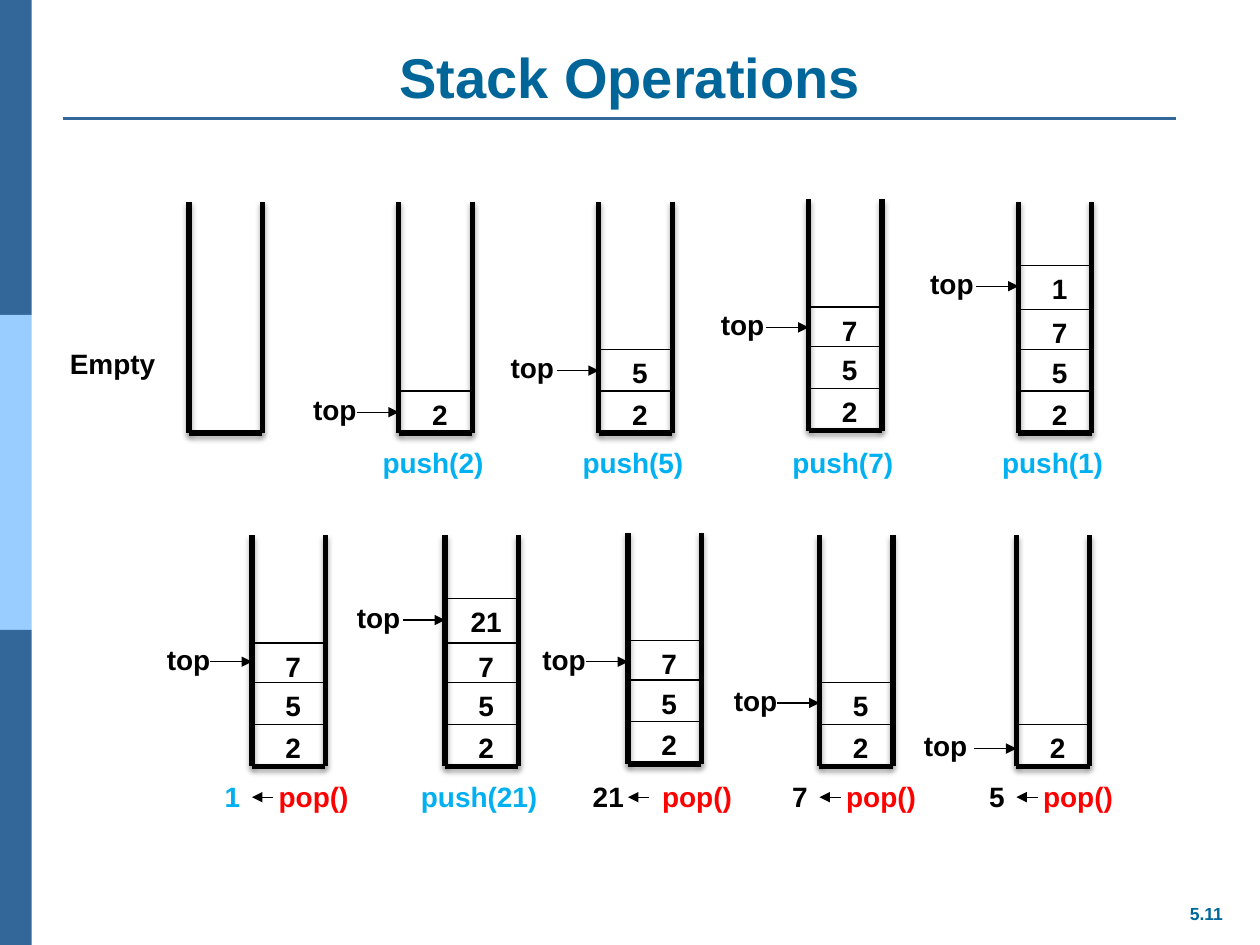
from pptx import Presentation
from pptx import util as u
from pptx.dml.color import RGBColor
from pptx.enum import shapes, text
from pptx.oxml import parse_xml
from pptx.oxml.ns import nsdecls, qn

BLACK = RGBColor(0x00, 0x00, 0x00)
CYAN = RGBColor(0x00, 0xB0, 0xF0)
RED = RGBColor(0xFF, 0x00, 0x00)
TEAL = RGBColor(0x00, 0x66, 0x99)
STEEL = RGBColor(0x33, 0x66, 0x99)
SKY = RGBColor(0x99, 0xCC, 0xFF)

SHADOW = (
    '<a:outerShdw blurRad="39370" dist="22860" dir="5400000" rotWithShape="0">'
    '<a:srgbClr val="000000"><a:alpha val="35000"/></a:srgbClr></a:outerShdw>'
)

prs = Presentation()
prs.slide_width, prs.slide_height = u.Cm(25.4), u.Cm(19.05)
slide = prs.slides.add_slide(prs.slide_layouts[5])


def add_line(x1, y1, x2, y2, width=0.75, color=BLACK, shadow="", arrow=False):
    line = slide.shapes.add_connector(
        shapes.MSO_CONNECTOR.STRAIGHT, u.Cm(x1), u.Cm(y1), u.Cm(x2), u.Cm(y2))
    line.line.width = u.Pt(width)
    line.line.color.rgb = color
    props = line.element.spPr
    if arrow:
        props.find(qn("a:ln")).append(
            parse_xml(f'<a:tailEnd {nsdecls("a")} type="triangle"/>'))
    props.append(parse_xml(f'<a:effectLst {nsdecls("a")}>{shadow}</a:effectLst>'))


def add_label(left, top, width, runs, size=16, tab=None):
    box = slide.shapes.add_textbox(u.Cm(left), u.Cm(top), u.Cm(width), u.Cm(0.94))
    box.text_frame.word_wrap = tab is not None
    para = box.text_frame.paragraphs[0]
    para.alignment = text.PP_ALIGN.CENTER
    if tab is not None:
        para.alignment = text.PP_ALIGN.LEFT
        para._p.get_or_add_pPr().append(parse_xml(
            f'<a:tabLst {nsdecls("a")}><a:tab pos="{u.Cm(tab)}" algn="l"/></a:tabLst>'))
    for words, color in runs:
        run = para.add_run()
        run.text = words
        run.font.name = "Arial"
        run.font.size = u.Pt(size)
        run.font.bold = True
        run.font.color.rgb = color


# Side band, rule and page number
for i, color in enumerate([STEEL, SKY, STEEL]):
    band = slide.shapes.add_shape(
        shapes.MSO_SHAPE.RECTANGLE, 0, u.Cm(6.35 * i), u.Cm(0.64), u.Cm(6.35))
    band.shadow.inherit = False
    band.fill.solid()
    band.fill.fore_color.rgb = color
    band.line.fill.background()
add_line(1.27, 2.39, 23.7, 2.39, 1.5, STEEL)
add_label(23.7, 18.08, 1.24, [("5.11", TEAL)], size=10)

# Title
title = slide.shapes.title
title.left, title.top, title.width, title.height = (
    u.Cm(1.27), u.Cm(1.02), u.Cm(22.86), u.Cm(1.32))
title.text_frame.vertical_anchor = text.MSO_ANCHOR.BOTTOM
heading = title.text_frame.paragraphs[0]
heading.alignment = text.PP_ALIGN.CENTER
heading_run = heading.add_run()
heading_run.text = "Stack Operations"
heading_run.font.name = "Arial"
heading_run.font.size = u.Pt(32)
heading_run.font.bold = True
heading_run.font.color.rgb = TEAL

# Stacks: left, bottom, items from the bottom up, left of "top", pointer height
STACK_WIDTH, STACK_HEIGHT = 1.48, 4.66
LEVELS = [0.85, 1.69, 2.49, 3.38]
stacks = [
    (3.81, 8.73, [], None, None),
    (8.04, 8.73, [2], 6.05, 8.31),
    (12.07, 8.73, [2, 5], 10.03, 7.47),
    (16.3, 8.68, [2, 5, 7], 14.27, 6.6),
    (20.53, 8.73, [2, 5, 7, 1], 18.49, 5.77),
    (5.08, 15.45, [2, 5, 7], 3.1, 13.34),
    (8.97, 15.45, [2, 5, 7, 21], 6.93, 12.5),
    (12.66, 15.4, [2, 5, 7], 10.67, 13.34),
    (16.52, 15.45, [2, 5], 14.53, 14.17),
    (20.49, 15.45, [2], 18.36, 15.09),
]
for left, bottom, items, top_left, pointer in stacks:
    right, rim = left + STACK_WIDTH, bottom - STACK_HEIGHT
    for wall in [(left, rim, left, bottom), (right, rim, right, bottom),
                 (left, bottom, right, bottom)]:
        add_line(*wall, width=3, shadow=SHADOW)
    for item, level in zip(items, LEVELS):
        add_line(left, bottom - level, right, bottom - level)
        add_label(left + 0.23, bottom - level, 1.2, [(str(item), BLACK)])
    if items:
        add_label(top_left, pointer - 0.52, 1.4, [("top", BLACK)])
        add_line(left - 0.85, pointer, left, pointer, arrow=True)

# Push captions, centred under their stacks
for left, top, value in [(8.04, 8.86, 2), (12.07, 8.86, 5), (16.3, 8.86, 7),
                         (20.53, 8.86, 1), (8.97, 15.6, 21)]:
    add_label(left - 0.81, top, 3, [(f"push({value})", CYAN)])

# Pop captions with the returned value
for left, value, color, indent, tab in [
        (5.08, 1, CYAN, 0.8, 1.09), (12.66, 21, BLACK, 0.96, 1.4),
        (16.52, 7, BLACK, 0.8, 1.09), (20.49, 5, BLACK, 0.8, 1.09)]:
    add_label(left - indent, 15.6, 3.4,
              [(f"{value}\t", color), ("pop()", RED)], tab=tab)
    add_line(left + 0.43, 16.07, left, 16.07, arrow=True)

# Name of the first stack
add_label(1.14, 6.86, 2.26, [("Empty", BLACK)])

prs.save("out.pptx")
